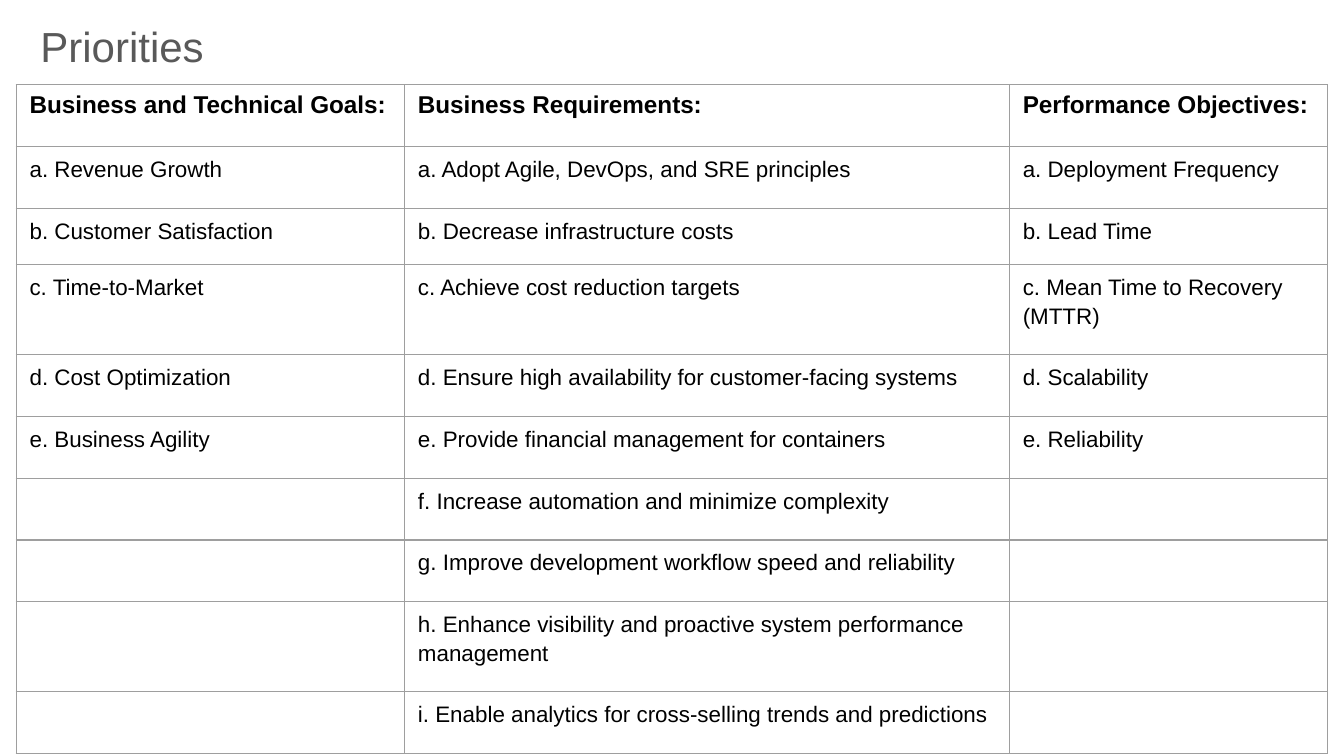
from dataclasses import dataclass
from itertools import zip_longest

from lxml import etree
from pptx import Presentation
from pptx.dml.color import RGBColor
from pptx.enum.text import MSO_ANCHOR, MSO_AUTO_SIZE, PP_ALIGN
from pptx.oxml.ns import qn
from pptx.util import Inches, Pt

BOTTOM = MSO_ANCHOR.BOTTOM
TOP = MSO_ANCHOR.TOP
LEFT = PP_ALIGN.LEFT
NO_FIT = MSO_AUTO_SIZE.NONE
TITLE_ONLY = 5


@dataclass(frozen=True)
class Theme:
    font: str = "Arial"
    title: str = "595959"
    text: str = "000000"
    rule: str = "9E9E9E"
    title_size: float = 22.5
    head_size: float = 13
    body_size: float = 12
    rule_width: float = 0.75
    spacing: float = 1.15
    before: float = 13


COLUMNS = {
    "Business and Technical Goals:": [
        "Revenue Growth",
        "Customer Satisfaction",
        "Time-to-Market",
        "Cost Optimization",
        "Business Agility",
    ],
    "Business Requirements:": [
        "Adopt Agile, DevOps, and SRE principles",
        "Decrease infrastructure costs",
        "Achieve cost reduction targets",
        "Ensure high availability for customer-facing systems",
        "Provide financial management for containers",
        "Increase automation and minimize complexity",
        "Improve development workflow speed and reliability",
        "Enhance visibility and proactive system performance management",
        "Enable analytics for cross-selling trends and predictions",
    ],
    "Performance Objectives:": [
        "Deployment Frequency",
        "Lead Time",
        "Mean Time to Recovery (MTTR)",
        "Scalability",
        "Reliability",
    ],
}
WIDTHS = [2.89, 4.5, 2.37]
ROW = 0.46
ODD_ROWS = {2: 0.42, 3: 0.67, 8: 0.67}


class Deck:
    def __init__(self, slide, theme):
        self.slide = slide
        self.theme = theme

    def add_run(self, para, text, size, color, bold=False):
        run = para.add_run()
        run.text = text
        font = run.font
        font.name = self.theme.font
        font.size = Pt(size)
        font.bold = bold
        font.color.rgb = RGBColor.from_string(color)

    def add_title(self, text, left, top, width, height):
        box = self.slide.shapes.title
        box.left, box.top = Inches(left), Inches(top)
        box.width, box.height = Inches(width), Inches(height)
        frame = box.text_frame
        frame.auto_size = NO_FIT
        frame.word_wrap = True
        frame.vertical_anchor = BOTTOM
        frame.margin_left = frame.margin_right = Inches(0.1)
        frame.margin_top = frame.margin_bottom = Inches(0.1)
        para = frame.paragraphs[0]
        para.alignment = LEFT
        para.line_spacing = self.theme.spacing
        self.add_run(para, text, self.theme.title_size, self.theme.title)

    def add_grid(self, rows, left, top, widths, heights):
        frame = self.slide.shapes.add_table(
            len(rows), len(widths), Inches(left), Inches(top),
            Inches(sum(widths)), Inches(sum(heights)))
        table = frame.table
        table.first_row = table.horz_banding = False
        for col, width in zip(table.columns, widths):
            col.width = Inches(width)
        for row, height in zip(table.rows, heights):
            row.height = Inches(height)
        for i, row in enumerate(rows):
            for j, text in enumerate(row):
                self.fill_cell(table.cell(i, j), text, i == 0)

    def fill_cell(self, cell, text, head):
        theme = self.theme
        cell.vertical_anchor = TOP
        cell.margin_left = cell.margin_right = Inches(0.1)
        cell.margin_top = cell.margin_bottom = Inches(0.05)
        self.add_rules(cell)
        cell.fill.background()
        if not text:
            return
        para = cell.text_frame.paragraphs[0]
        if not head:
            para.line_spacing = theme.spacing
            para.space_before = Pt(theme.before)
        size = theme.head_size if head else theme.body_size
        self.add_run(para, text, size, theme.text, head)

    def add_rules(self, cell):
        """Draw a solid border on all four sides of the cell."""
        props = cell._tc.get_or_add_tcPr()
        width = str(Pt(self.theme.rule_width))
        for side in ("a:lnL", "a:lnR", "a:lnT", "a:lnB"):
            line = etree.SubElement(props, qn(side), w=width)
            fill = etree.SubElement(line, qn("a:solidFill"))
            etree.SubElement(fill, qn("a:srgbClr"), val=self.theme.rule)


def letter(items):
    return [f"{mark}. {item}" for mark, item in zip("abcdefghi", items)]


def main():
    prs = Presentation()
    prs.slide_width = Inches(10)
    prs.slide_height = prs.slide_width * 9 // 16
    slide = prs.slides.add_slide(prs.slide_layouts[TITLE_ONLY])
    deck = Deck(slide, Theme())
    deck.add_title("Priorities", 0.2, 0, 9.32, 0.63)
    lists = [[head, *letter(items)] for head, items in COLUMNS.items()]
    rows = list(zip_longest(*lists, fillvalue=""))
    heights = [ODD_ROWS.get(i, ROW) for i in range(len(rows))]
    deck.add_grid(rows, 0.12, 0.63, WIDTHS, heights)
    prs.save("out.pptx")


if __name__ == "__main__":
    main()
